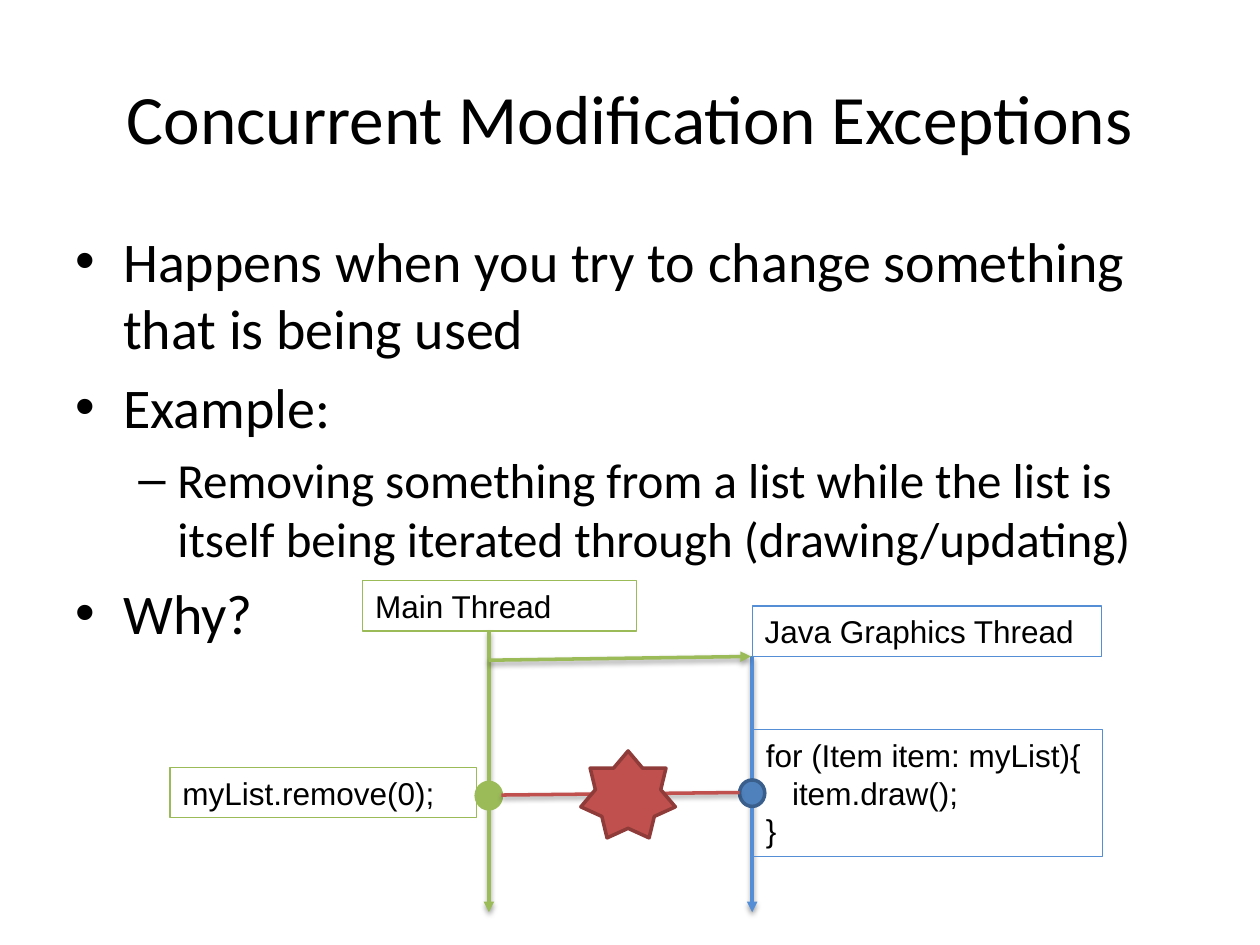
from dataclasses import dataclass

from lxml import etree
from pptx import Presentation
from pptx import util as u
from pptx.dml.color import RGBColor
from pptx.enum import shapes, text
from pptx.oxml import ns

COLORS = {
    "ink": "000000",
    "main": "9BBB59",
    "graphics": "558ED5",
    "event": "4F81BD",
    "event_edge": "3A5F8C",
    "clash": "C0504D",
    "clash_edge": "8E3B39",
}
MAIN_X, GRAPHICS_X = 3.88, 5.97
THREAD_END = 7.24


@dataclass
class Bullet:
    words: str
    size: float
    mark: str
    margin: float
    hang: float


@dataclass
class Arrow:
    start: tuple[float, float]
    end: tuple[float, float]
    color: str
    head: bool = True


@dataclass
class Label:
    lines: list[str]
    place: tuple[float, float, float, float]
    color: str


@dataclass
class Marker:
    kind: shapes.MSO_SHAPE
    place: tuple[float, float, float, float]
    fill: str
    edge: str


def bullet(words: str) -> Bullet:
    return Bullet(words, 32, "•", 0.38, 0.38)


BULLETS = [
    bullet("Happens when you try to change something that is being used"),
    bullet("Example:"),
    Bullet("Removing something from a list while the list is itself being "
           "iterated through (drawing/updating)", 28, "–", 0.81, 0.31),
    bullet("Why?"),
]
THREADS = [
    Arrow((MAIN_X, 5.01), (MAIN_X, THREAD_END), "main"),
    Arrow((GRAPHICS_X, 5.21), (GRAPHICS_X, THREAD_END), "graphics"),
    Arrow((MAIN_X, 5.24), (5.96, 5.21), "main"),
]
LABELS = [
    Label(["Main Thread"], (2.88, 4.61, 2.17, 0.4), "main"),
    Label(["Java Graphics Thread"], (GRAPHICS_X, 4.81, 2.77, 0.4), "graphics"),
    Label(["myList.remove(0);"], (1.35, 6.09, 2.43, 0.4), "main"),
    Label(["for (Item item: myList){", "   item.draw();", "}"],
          (5.98, 5.79, 2.77, 1.01), "graphics"),
]
EVENTS = [
    Marker(shapes.MSO_SHAPE.OVAL, (5.87, 6.19, 0.2, 0.21), "event", "event_edge"),
    Marker(shapes.MSO_SHAPE.OVAL, (3.78, 6.21, 0.2, 0.21), "main", "main"),
]
CONFLICT = Arrow((3.98, 6.31), (5.87, 6.29), "clash", head=False)
CLASH = Marker(shapes.MSO_SHAPE.STAR_7_POINT, (4.61, 5.96, 0.75, 0.69),
               "clash", "clash_edge")


def rgb(key: str) -> RGBColor:
    return RGBColor.from_string(COLORS[key])


def inches(values) -> list:
    return [u.Inches(value) for value in values]


def apply(target, values: dict) -> None:
    for name, value in values.items():
        setattr(target, name, value)


def sub(parent, tag: str, **attributes: str):
    return etree.SubElement(parent, ns.qn(tag), attributes)


def style_font(font, name: str, size: float) -> None:
    apply(font, {"name": name, "size": u.Pt(size)})
    font.color.rgb = rgb("ink")


def style_line(line, color: str, width: float) -> None:
    line.color.rgb = rgb(color)
    line.width = u.Pt(width)


def draw_title(slide, words: str) -> None:
    title = slide.shapes.title
    left, top, width, height = inches((0.5, 0.3, 9, 1.25))
    apply(title, {"left": left, "top": top, "width": width, "height": height})
    title.text = words
    apply(title.text_frame, {"vertical_anchor": text.MSO_ANCHOR.MIDDLE,
                             "word_wrap": True,
                             "auto_size": text.MSO_AUTO_SIZE.NONE})
    paragraph = title.text_frame.paragraphs[0]
    paragraph.alignment = text.PP_ALIGN.CENTER
    style_font(paragraph.runs[0].font, "Calibri", 39.6)


def draw_bullets(slide, bullets: list[Bullet]) -> None:
    frame = slide.shapes.add_textbox(*inches((0.5, 1.75, 9, 4.95))).text_frame
    frame.word_wrap = True
    for index, item in enumerate(bullets):
        paragraph = frame.add_paragraph() if index else frame.paragraphs[0]
        paragraph.text = item.words
        properties = paragraph._p.get_or_add_pPr()
        properties.set("marL", str(u.Inches(item.margin)))
        properties.set("indent", str(-u.Inches(item.hang)))
        sub(properties, "a:buFont", typeface="Arial")
        sub(properties, "a:buChar", char=item.mark)
        if index:
            paragraph.space_before = u.Pt(item.size * 0.2)
        style_font(paragraph.runs[0].font, "Calibri", item.size)


def draw_arrow(slide, arrow: Arrow) -> None:
    connector = slide.shapes.add_connector(
        shapes.MSO_CONNECTOR.STRAIGHT, *inches(arrow.start + arrow.end))
    style_line(connector.line, arrow.color, 2)
    if arrow.head:
        sub(connector.line._get_or_add_ln(), "a:tailEnd", type="triangle")
    effects = sub(connector._element.spPr, "a:effectLst")
    shadow = sub(effects, "a:outerShdw", blurRad=str(u.Pt(3.1)),
                 dist=str(u.Pt(1.6)), dir="5400000", rotWithShape="0")
    sub(sub(shadow, "a:srgbClr", val=COLORS["ink"]), "a:alpha", val="38000")


def draw_label(slide, label: Label) -> None:
    box = slide.shapes.add_textbox(*inches(label.place))
    style_line(box.line, label.color, 0.75)
    frame = box.text_frame
    apply(frame, {"word_wrap": True,
                  "auto_size": text.MSO_AUTO_SIZE.SHAPE_TO_FIT_TEXT})
    frame.text = "\n".join(label.lines)
    for paragraph in frame.paragraphs:
        style_font(paragraph.runs[0].font, "Arial", 18)


def draw_marker(slide, marker: Marker) -> None:
    symbol = slide.shapes.add_shape(marker.kind, *inches(marker.place))
    symbol.shadow.inherit = False
    symbol.fill.solid()
    symbol.fill.fore_color.rgb = rgb(marker.fill)
    style_line(symbol.line, marker.edge, 2)


def main() -> None:
    deck = Presentation()
    apply(deck, {"slide_width": u.Inches(10), "slide_height": u.Inches(7.5)})
    slide = deck.slides.add_slide(deck.slide_layouts.get_by_name("Title Only"))
    draw_title(slide, "Concurrent Modification Exceptions")
    draw_bullets(slide, BULLETS)
    for thread in THREADS:
        draw_arrow(slide, thread)
    for label in LABELS:
        draw_label(slide, label)
    for event in EVENTS:
        draw_marker(slide, event)
    draw_arrow(slide, CONFLICT)
    draw_marker(slide, CLASH)
    deck.save("out.pptx")


if __name__ == "__main__":
    main()
